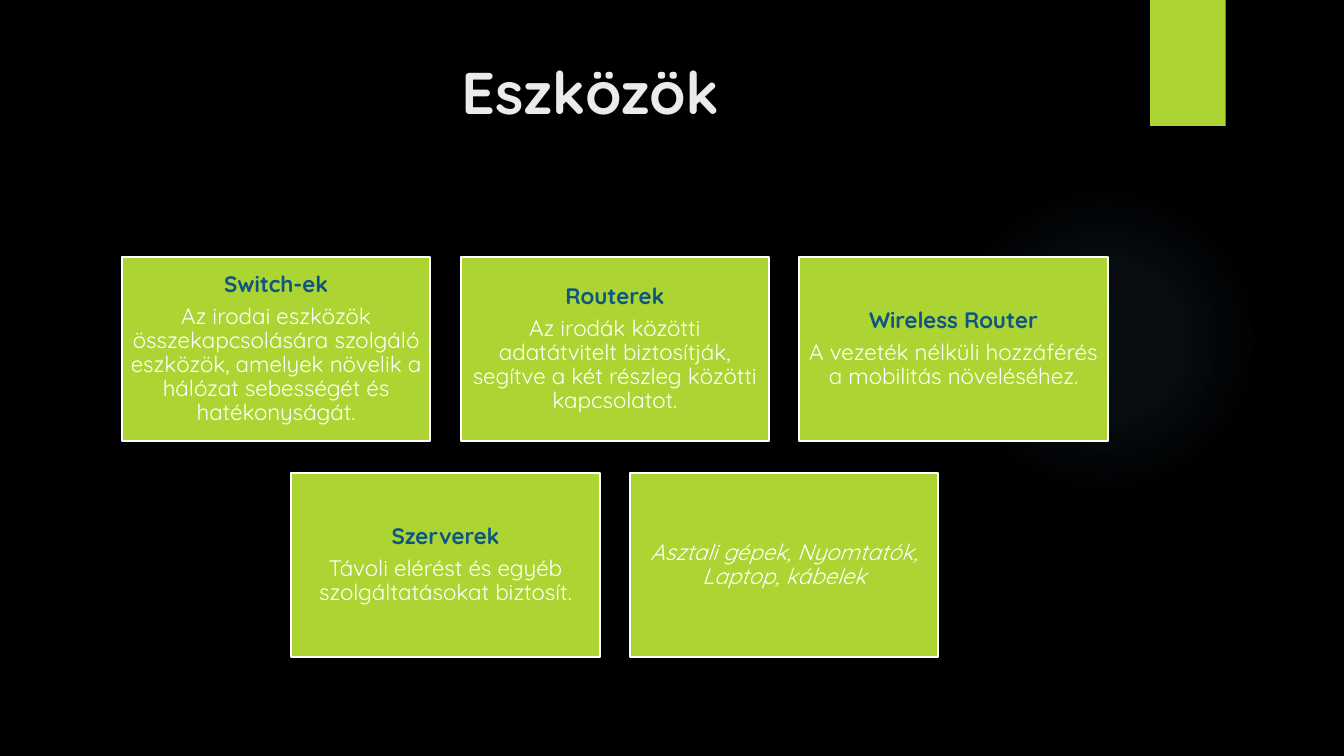
"""Build the slide of office network devices as two centred rows of cards."""
from dataclasses import dataclass

import pptx
import pptx.dml.color
import pptx.enum.shapes
import pptx.enum.text
import pptx.oxml
import pptx.oxml.ns
import pptx.util

Pt = pptx.util.Pt
RGBColor = pptx.dml.color.RGBColor
MSO_SHAPE = pptx.enum.shapes.MSO_SHAPE
PP_ALIGN = pptx.enum.text.PP_ALIGN
MSO_ANCHOR = pptx.enum.text.MSO_ANCHOR

BLACK = RGBColor(0x00, 0x00, 0x00)
LIME = RGBColor(0xAC, 0xD4, 0x33)
WHITE = RGBColor(0xFF, 0xFF, 0xFF)
NAVY = RGBColor(0x0E, 0x55, 0x80)
PALE = RGBColor(0xEB, 0xEB, 0xEB)
SKY = RGBColor(0x7A, 0xC4, 0xF0)
FONT = "Quicksand"

CARD_W, CARD_H = 220.32, 131.76
GAP_X, GAP_Y = 21.6, 22.32
ROWS_CENTER, ROWS_TOP = 439.2, 183.6


@dataclass(frozen=True)
class Line:
    text: str
    color: RGBColor = WHITE
    bold: bool = False
    italic: bool = False
    size: float = 16


@dataclass(frozen=True)
class Card:
    lines: tuple[Line, ...]


def device(name: str, purpose: str) -> Card:
    return Card((Line(name, NAVY, bold=True), Line(purpose)))


ROWS = (
    (
        device("Switch-ek", "Az irodai eszközök összekapcsolására szolgáló eszközök, amelyek "
                            "növelik a hálózat sebességét és hatékonyságát."),
        device("Routerek", "Az irodák közötti adatátvitelt biztosítják, segítve a "
                           "két részleg közötti kapcsolatot."),
        device("Wireless Router", "A vezeték nélküli hozzáférés a mobilitás növeléséhez."),
    ),
    (
        device("Szerverek", "Távoli elérést és egyéb szolgáltatásokat biztosít."),
        Card((Line("Asztali gépek, Nyomtatók, Laptop, kábelek", italic=True),)),
    ),
)


def add_line(p, line: Line) -> None:
    p.alignment = PP_ALIGN.CENTER
    r = p.add_run()
    r.text = line.text
    r.font.name = FONT
    r.font.size = Pt(line.size)
    r.font.bold = line.bold
    r.font.italic = line.italic
    r.font.color.rgb = line.color


def add_block(s, kind, x: float, y: float, w: float, h: float):
    sp = s.shapes.add_shape(kind, Pt(x), Pt(y), Pt(w), Pt(h))
    sp.shadow.inherit = False
    sp.fill.solid()
    sp.fill.fore_color.rgb = LIME
    sp.line.fill.background()
    return sp


def add_glow(s) -> None:
    sp = add_block(s, MSO_SHAPE.OVAL, 677.52, 131.76, 221.76, 221.76)
    stops = "".join(
        f'<a:gs pos="{pos * 1000}"><a:srgbClr val="{SKY}">'
        f'<a:alpha val="{alpha * 1000}"/></a:srgbClr></a:gs>'
        for pos, alpha in ((0, 7), (36, 6), (69, 0))
    )
    grad = pptx.oxml.parse_xml(
        f'<a:gradFill {pptx.oxml.ns.nsdecls("a")} rotWithShape="1"><a:gsLst>{stops}</a:gsLst>'
        '<a:path path="circle"><a:fillToRect l="50000" t="50000" r="50000" b="50000"/>'
        '</a:path></a:gradFill>'
    )
    spPr = sp.element.spPr
    spPr.replace(spPr.find(pptx.oxml.ns.qn("a:solidFill")), grad)


def add_ribbon(s) -> None:
    sp = add_block(s, MSO_SHAPE.RECTANGLE, 821.52, 0, 54, 90)
    effects = sp.element.spPr.find(pptx.oxml.ns.qn("a:effectLst"))
    effects.append(pptx.oxml.parse_xml(
        f'<a:outerShdw {pptx.oxml.ns.nsdecls("a")} blurRad="{Pt(3)}" dist="{Pt(2)}" '
        f'dir="5400000" rotWithShape="0"><a:srgbClr val="{BLACK}">'
        '<a:alpha val="45000"/></a:srgbClr></a:outerShdw>'
    ))


def add_title(s) -> None:
    tf = s.shapes.add_textbox(Pt(51.12), Pt(36), Pt(740.88), Pt(110.16)).text_frame
    tf.word_wrap = True
    add_line(tf.paragraphs[0], Line("Eszközök", PALE, bold=True, size=42))


def add_card(s, card: Card, x: float, y: float) -> None:
    sp = add_block(s, MSO_SHAPE.RECTANGLE, x, y, CARD_W, CARD_H)
    sp.line.color.rgb = WHITE
    sp.line.width = Pt(1.5)
    tf = sp.text_frame
    tf.word_wrap = True
    tf.vertical_anchor = MSO_ANCHOR.MIDDLE
    tf.margin_left = tf.margin_right = tf.margin_top = tf.margin_bottom = Pt(4.8)
    for i, line in enumerate(card.lines):
        p = tf.add_paragraph() if i else tf.paragraphs[0]
        p.line_spacing = 0.9
        p.space_after = Pt(5.6)
        add_line(p, line)


def main() -> None:
    prs = pptx.Presentation()
    prs.slide_width, prs.slide_height = Pt(960), Pt(540)
    s = prs.slides.add_slide(prs.slide_layouts[6])
    s.background.fill.solid()
    s.background.fill.fore_color.rgb = BLACK
    add_glow(s)
    add_ribbon(s)
    add_title(s)
    for i, row in enumerate(ROWS):
        row_w = len(row) * (CARD_W + GAP_X) - GAP_X
        for j, card in enumerate(row):
            x = ROWS_CENTER - row_w / 2 + j * (CARD_W + GAP_X)
            add_card(s, card, x, ROWS_TOP + i * (CARD_H + GAP_Y))
    prs.save("out.pptx")


if __name__ == "__main__":
    main()
